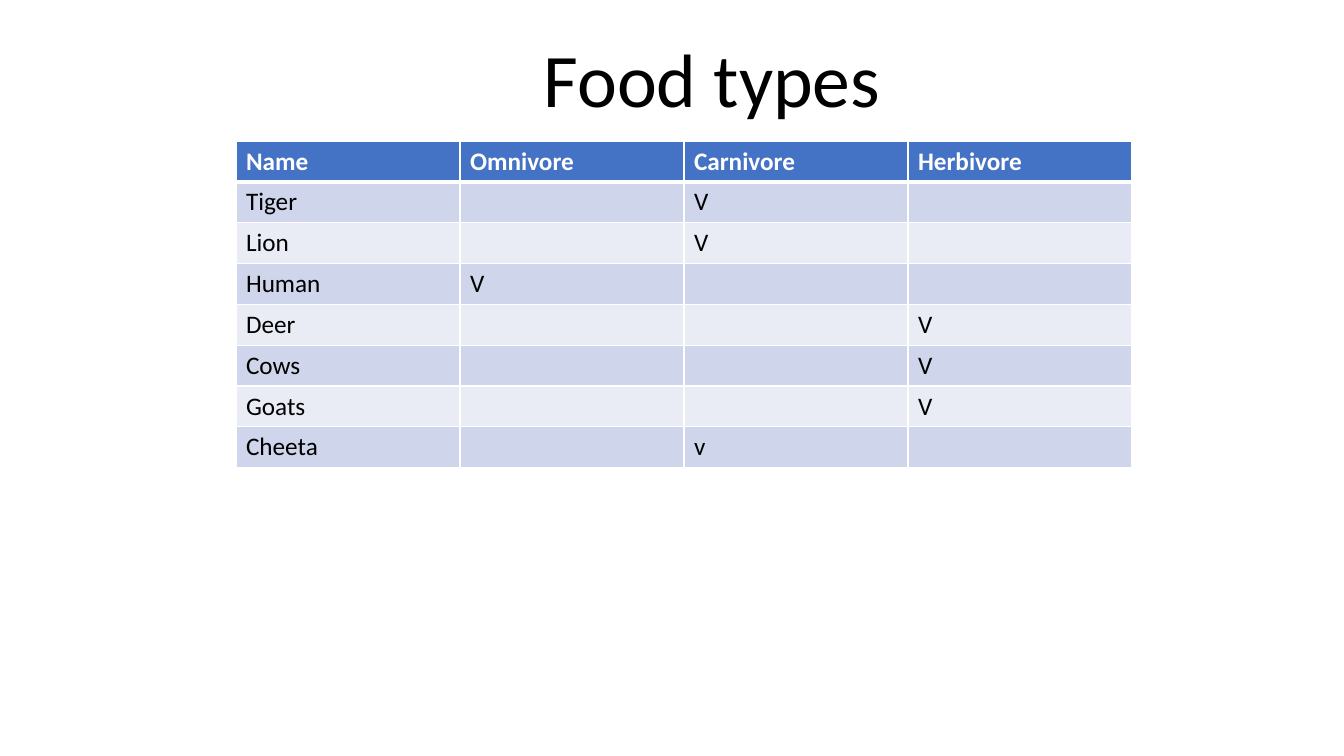
"""Build a slide with a table that sorts animals by food type."""
from lxml import etree
from pptx import Presentation, util as u
from pptx.dml.color import RGBColor
from pptx.enum import text
from pptx.oxml import ns

SCALE = 914400 / 100.8
BLACK = RGBColor(0x00, 0x00, 0x00)
WHITE = RGBColor(0xFF, 0xFF, 0xFF)
HEADER_BLUE = RGBColor(0x44, 0x72, 0xC4)
BAND_DARK = RGBColor(0xCF, 0xD5, 0xEA)
BAND_LIGHT = RGBColor(0xE9, 0xEB, 0xF5)


def px(*lengths):
    return [u.Emu(round(length * SCALE)) for length in lengths]


def write(paragraph, words, color, **format_values):
    run = paragraph.add_run()
    run.text = words
    run.font.color.rgb = color
    for attribute, value in {"name": "Calibri", **format_values}.items():
        setattr(run.font, attribute, value)


deck = Presentation()
deck.slide_width, deck.slide_height = px(1344, 756)
slide = deck.slides.add_slide(deck.slide_layouts[6])

title = slide.shapes.add_textbox(*px(208, 28, 1008, 101)).text_frame
for attribute, value in {"word_wrap": True, "vertical_anchor": text.MSO_ANCHOR.BOTTOM}.items():
    setattr(title, attribute, value)
heading = title.paragraphs[0]
for attribute, value in {"alignment": text.PP_ALIGN.CENTER, "line_spacing": 0.9}.items():
    setattr(heading, attribute, value)
write(heading, "Food types", BLACK, size=u.Pt(54))

diets = ["Omnivore", "Carnivore", "Herbivore"]
animals = [
    ("Tiger", "Carnivore", "V"),
    ("Lion", "Carnivore", "V"),
    ("Human", "Omnivore", "V"),
    ("Deer", "Herbivore", "V"),
    ("Cows", "Herbivore", "V"),
    ("Goats", "Herbivore", "V"),
    ("Cheeta", "Carnivore", "v"),
]
rows = [["Name", *diets]]
for animal, food, mark in animals:
    rows.append([animal, *(mark if diet == food else "" for diet in diets)])

food_table = slide.shapes.add_table(len(rows), len(rows[0]), *px(236, 141, 896, 327)).table
for row, entries in enumerate(rows):
    is_header = row == 0
    band = HEADER_BLUE if is_header else (BAND_LIGHT, BAND_DARK)[row % 2]
    edges = {"lnL": 1, "lnR": 1, "lnT": 3 if row == 1 else 1, "lnB": 3 if is_header else 1}
    for column, entry in enumerate(entries):
        cell = food_table.cell(row, column)
        properties = cell._tc.get_or_add_tcPr()
        for edge, points in edges.items():
            border = etree.SubElement(properties, ns.qn(f"a:{edge}"), w=str(u.Pt(points)))
            paint = etree.SubElement(border, ns.qn("a:solidFill"))
            etree.SubElement(paint, ns.qn("a:srgbClr"), val=str(WHITE))
        cell.fill.solid()
        cell.fill.fore_color.rgb = band
        if entry:
            write(cell.text_frame.paragraphs[0], entry, WHITE if is_header else BLACK,
                  size=u.Pt(18), bold=is_header)

deck.save("out.pptx")
